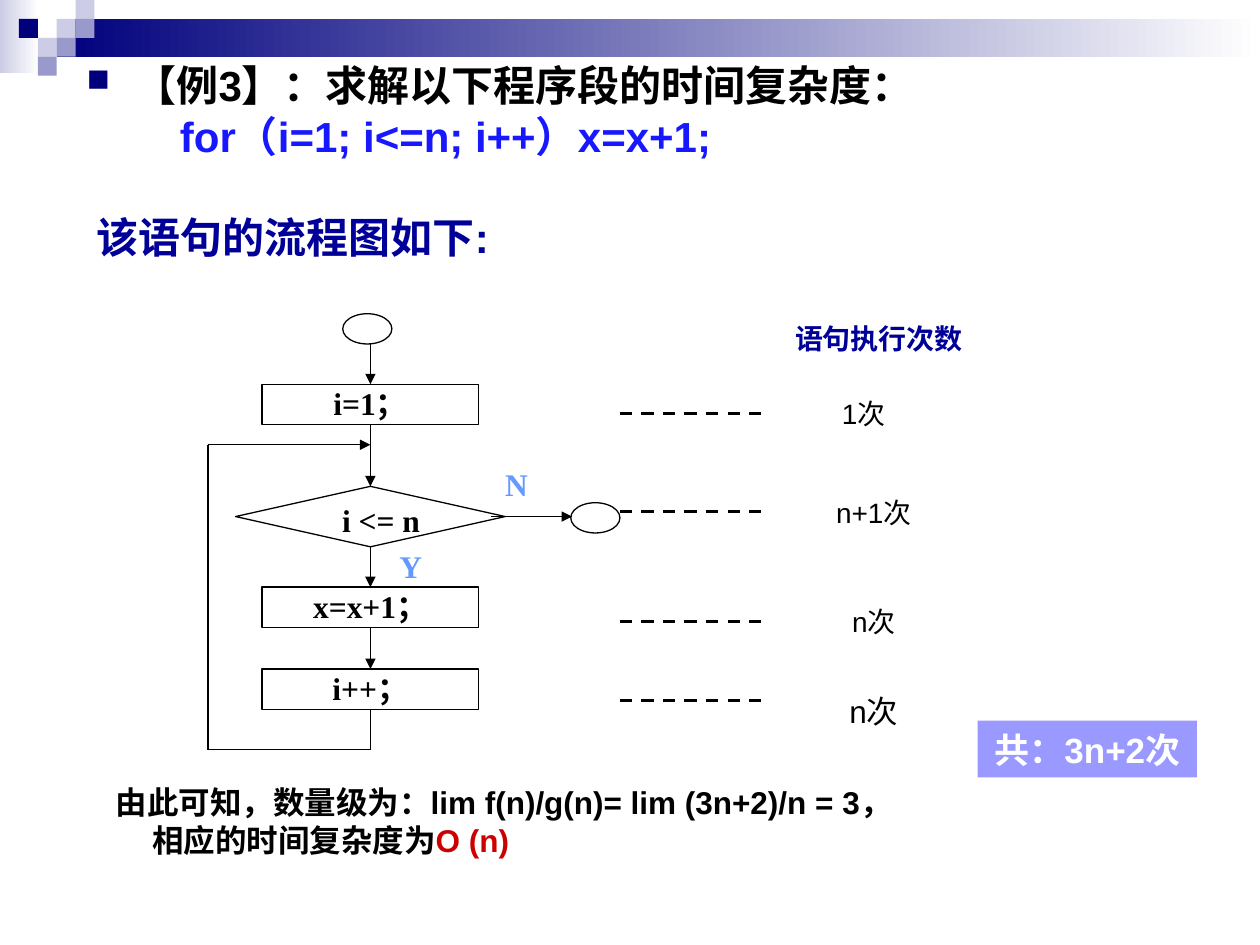
from lxml import etree
from pptx import Presentation
from pptx import util as u
from pptx.dml.color import RGBColor
from pptx.enum import dml, shapes, text
from pptx.oxml import ns

colour = RGBColor.from_string
KIND = shapes.MSO_SHAPE
BLACK, WHITE, NAVY, BLUE = "000000", "FFFFFF", "00007D", "000099"
SERIF = "Times New Roman"

deck = Presentation()
deck.slide_width, deck.slide_height = u.Inches(10), u.Inches(7.5)
slide = deck.slides.add_slide(deck.slide_layouts[6])
CELL = deck.slide_width // 100  # grid of 100 columns by 75 rows


def box(kind, left, top, width, height, words="", size=18, ink=BLACK, bold=True,
        font="Arial", fill=None, outline=None, align="CENTER", anchor="MIDDLE",
        inset=(1, 0.5), wrap=False):
    """Place a shape, or a text box when kind is None, in grid units."""
    place = [round(n * CELL) for n in (left, top, width, height)]
    if kind is None:
        item = slide.shapes.add_textbox(*place)
    else:
        item = slide.shapes.add_shape(kind, *place)
        item.shadow.inherit = False
    if fill:
        item.fill.solid()
        item.fill.fore_color.rgb = colour(fill)
    else:
        item.fill.background()
    if outline:
        item.line.color.rgb = colour(outline)
        item.line.width = u.Pt(0.75)
    else:
        item.line.fill.background()
    frame = item.text_frame
    frame.word_wrap = wrap
    frame.vertical_anchor = getattr(text.MSO_ANCHOR, anchor)
    frame.margin_left = frame.margin_right = round(inset[0] * CELL)
    frame.margin_top = frame.margin_bottom = round(inset[1] * CELL)
    if words:
        frame.text = words
        frame.paragraphs[0].alignment = getattr(text.PP_ALIGN, align)
        face = frame.paragraphs[0].runs[0].font
        face.name, face.size, face.bold = font, u.Pt(size), bold
        face.color.rgb = colour(ink)
    return item


def line(x1, y1, x2, y2, arrow=False, width=0.75):
    """Draw a straight connector in grid units."""
    ends = [round(n * CELL) for n in (x1, y1, x2, y2)]
    item = slide.shapes.add_connector(shapes.MSO_CONNECTOR.STRAIGHT, *ends)
    item.line.color.rgb = colour(BLACK)
    item.line.width = u.Pt(width)
    if arrow:
        etree.SubElement(item.line._get_or_add_ln(), ns.qn("a:tailEnd"), type="triangle")
    etree.SubElement(item._element.spPr, ns.qn("a:effectLst"))
    return item


# Banner: two fading bars and a mosaic of squares
for left, top, width, height, start in ((0, 0, 3.1, 5.8, "CCCCE6"),
                                        (4.5, 1.5, 95.5, 3, NAVY)):
    bar = box(KIND.RECTANGLE, left, top, width, height)
    bar.fill.gradient()
    bar.fill.gradient_angle = 0
    for stop, shade, position in zip(bar.fill.gradient_stops, (start, WHITE), (0, 1)):
        stop.color.rgb = colour(shade)
        stop.position = position

TILE = 1.5
for column, row, shade in ((3, 1, "CCCCE6"), (4, 0, "CCCCE6"), (4, 1, "9999CC"),
                           (2, 2, "CCCCE6"), (1, 1, NAVY), (3, 2, "9999CC"),
                           (2, 3, "9999CC")):
    box(KIND.RECTANGLE, column * TILE, row * TILE, TILE, TILE, fill=shade)

# Problem and conclusion: (runs, left margin, space before, bulleted)
problem = [
    ([("【例3】：求解以下程序段的时间复杂度：", BLACK)], 3.8, 0, True),
    ([("for（i=1; i<=n; i++）x=x+1;", "1818FF")], 7.4, 6, False),
    ([("该语句的流程图如下:", BLUE)], 0.8, 35, False),
]
conclusion = [
    ([("由此可知，数量级为：lim f(n)/g(n)= lim (3n+2)/n = 3，", BLACK)], 2.3, 0, False),
    ([("相应的时间复杂度为", BLACK), ("O (n)", "CC0000")], 5.2, 4.5, False),
]
for top, height, size, passage in ((5, 17, 24, problem), (62.2, 8, 18, conclusion)):
    frame = box(None, 5.9, top, 87.4, height, anchor="TOP", wrap=True).text_frame
    for number, (runs, margin, before, bulleted) in enumerate(passage):
        paragraph = frame.add_paragraph() if number else frame.paragraphs[0]
        settings = paragraph._p.get_or_add_pPr()
        settings.set("marL", str(round(margin * CELL)))
        settings.set("indent", str(round(-margin * CELL) if bulleted else 0))
        paragraph.line_spacing = 0.8
        paragraph.space_before = u.Pt(before)
        if bulleted:
            bullet_colour = etree.SubElement(settings, ns.qn("a:buClr"))
            etree.SubElement(bullet_colour, ns.qn("a:srgbClr"), val=NAVY)
            etree.SubElement(settings, ns.qn("a:buSzPct"), val="75000")
            etree.SubElement(settings, ns.qn("a:buChar"), char="■")
        for words, ink in runs:
            run = paragraph.add_run()
            run.text = words
            run.font.name, run.font.size, run.font.bold = "Arial", u.Pt(size), True
            run.font.color.rgb = colour(ink)

# Flowchart nodes
AXIS, LOOP = 29.4, 16.5
decision = box(KIND.FLOWCHART_DECISION, AXIS - 10.7, 38.6, 21.4, 4.8, "i <= n",
               font=SERIF, fill=WHITE, outline=BLACK, align="LEFT", anchor="TOP",
               inset=(3.1, 0))
start_step, body_step, next_step = [
    box(KIND.FLOWCHART_PROCESS, AXIS - 8.6, top, 17.2, 3.2, words, font=SERIF,
        fill=WHITE, outline=BLACK, anchor="TOP", inset=(0, 0), wrap=True)
    for top, words in ((30.5, "i=1；"), (46.6, "x=x+1；"), (53.1, "i++；"))]
for left, top, width, branch in ((40.1, 36.9, 2.1, "N"), (31.7, 43.4, 4.3, "Y")):
    box(KIND.RECTANGLE, left, top, width, 3.1, branch, ink="6699FF", font=SERIF,
        fill=WHITE, align="LEFT", anchor="TOP", inset=(0, 0))
for left, top in ((27.2, 24.9), (45.3, 39.9)):
    box(KIND.OVAL, left, top, 3.9, 2.4, outline=BLACK)

# Flow down the axis, out to the exit and back round the loop
line(AXIS, 27.3, AXIS, 30.5, arrow=True).end_connect(start_step, 0)
for upper, lower in ((start_step, decision), (decision, body_step), (body_step, next_step)):
    flow = line(AXIS, 0, AXIS, 1, arrow=True)
    flow.begin_connect(upper, 2)
    flow.end_connect(lower, 0)
line(39, 41, 45.4, 41, arrow=True)
line(AXIS, 56.3, AXIS, 59.5).begin_connect(next_step, 2)
line(AXIS, 59.5, LOOP, 59.5)
line(LOOP, 35.3, LOOP, 59.5)
line(LOOP, 35.3, AXIS, 35.3, arrow=True)

# Execution counts
box(None, 60.7, 24.9, 18.1, 3.9, "语句执行次数", size=16, ink=BLUE)
for dash_row, left, top, count, size in ((32.8, 64.2, 31.2, "1次", 16),
                                         (40.6, 65, 39.1, "n+1次", 16),
                                         (49.3, 65, 47.7, "n次", 16),
                                         (55.6, 65, 54.8, "n次", 18)):
    line(49.2, dash_row, 61, dash_row, width=1.75).line.dash_style = dml.MSO_LINE.DASH
    box(None, left, top, 8.7, 3.2, count, size=size, bold=False)
box(KIND.RECTANGLE, 77.6, 57.2, 17.4, 4.5, "共：3n+2次", size=20, ink=WHITE, fill="9999FF")

deck.save("out.pptx")
